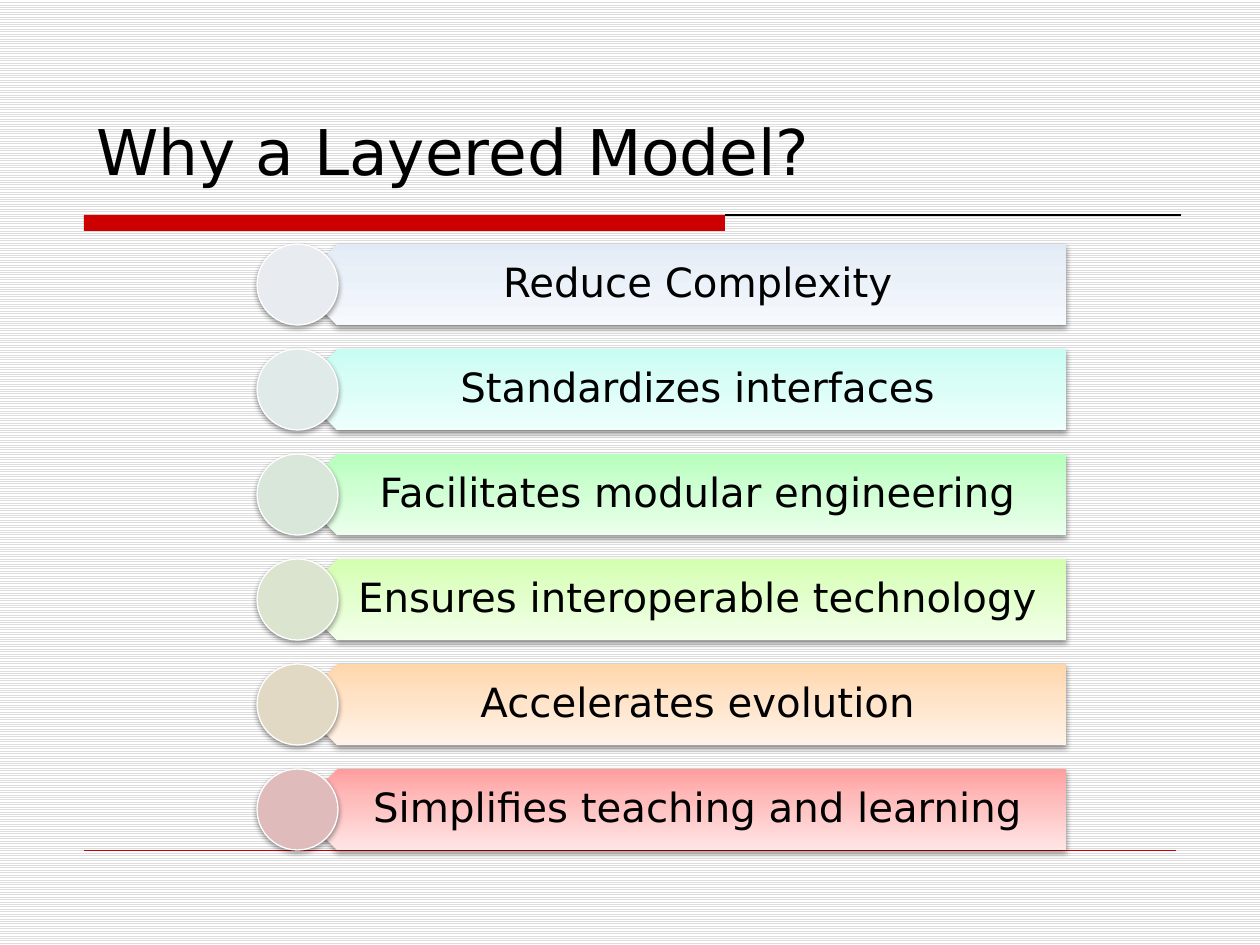
import dataclasses
from typing import Any

import lxml.etree
import pptx
import pptx.dml.color
import pptx.enum.dml
import pptx.enum.shapes
import pptx.enum.text
import pptx.oxml
import pptx.oxml.ns
import pptx.util

PX = 914400 / 126
FONT = "DejaVu Sans"
COLORS = {
    "text": "000000",
    "accent": "CC0000",
    "rule": "000000",
    "outline": "FFFFFF",
    "paper": "FFFFFF",
    "stripe": "DDDDDD",
}
SHAPES = pptx.enum.shapes.MSO_SHAPE
ANCHOR = pptx.enum.text.MSO_ANCHOR
ALIGN = pptx.enum.text.PP_ALIGN
AUTO_SIZE = pptx.enum.text.MSO_AUTO_SIZE

# Layout of the rows, in px
FIRST_TOP, PITCH, ROW_HEIGHT = 244, 105, 81
ARROW_LEFT, ARROW_WIDTH = 297, 769
LABEL_LEFT, LABEL_WIDTH = 318, 748
CIRCLE_LEFT = 257


@dataclasses.dataclass(frozen=True)
class Reason:
    label: str
    gradient: tuple[str, str, str]
    circle: str


REASONS = [
    Reason("Reduce Complexity", ("E2EBF5", "EAF0F8", "F6F9FD"), "E8EBEF"),
    Reason("Standardizes interfaces", ("C7FDF3", "D7FDF6", "EEFFFC"), "E0EBE9"),
    Reason("Facilitates modular engineering", ("B6FFBC", "CBFFCF", "EBFFEC"), "D8E7DA"),
    Reason("Ensures interoperable technology", ("D3FFAE", "DFFFC6", "F2FFE9"), "DBE4CF"),
    Reason("Accelerates evolution", ("FFD6AA", "FFE1C3", "FFF3E8"), "E2D9C5"),
    Reason("Simplifies teaching and learning", ("FF9D9D", "FFBABA", "FFE5E5"), "E0BBBB"),
]


def px(*lengths: int) -> list[pptx.util.Emu]:
    return [pptx.util.Emu(round(length * PX)) for length in lengths]


def rgb(value: str) -> pptx.dml.color.RGBColor:
    return pptx.dml.color.RGBColor.from_string(value)


def set_format(target: Any, values: dict[str, Any]) -> None:
    for name, value in values.items():
        setattr(target, name, value)


def add_shadow(shape: Any) -> None:
    shape.shadow.inherit = False
    effects = shape._element.spPr.find(pptx.oxml.ns.qn("a:effectLst"))
    effects.append(pptx.oxml.parse_xml(
        f'<a:outerShdw {pptx.oxml.ns.nsdecls("a")} blurRad="40000" dist="20000" '
        'dir="5400000" rotWithShape="0"><a:srgbClr val="000000">'
        '<a:alpha val="38000"/></a:srgbClr></a:outerShdw>'))


def fill_gradient(shape: Any, colors: tuple[str, str, str]) -> None:
    shape.fill.gradient()
    shape.fill.gradient_angle = 90
    stops = shape._element.spPr.find(".//" + pptx.oxml.ns.qn("a:gsLst"))
    for stop in list(stops):
        stops.remove(stop)
    for position, color in zip((0, 35, 100), colors):
        stop = lxml.etree.SubElement(
            stops, pptx.oxml.ns.qn("a:gs"), pos=str(position * 1000))
        lxml.etree.SubElement(stop, pptx.oxml.ns.qn("a:srgbClr"), val=color)


def add_text(slide: Any, text: str, box: tuple[int, int, int, int], size: int,
             frame_format: dict[str, Any], paragraph_format: dict[str, Any]) -> None:
    frame = slide.shapes.add_textbox(*px(*box)).text_frame
    set_format(frame, frame_format)
    paragraph = frame.paragraphs[0]
    set_format(paragraph, paragraph_format)
    run = paragraph.add_run()
    run.text = text
    set_format(run.font, {"name": FONT, "size": pptx.util.Pt(size)})
    run.font.color.rgb = rgb(COLORS["text"])


def add_rule(slide: Any, left: int, right: int, y: int, color: str, width: float) -> None:
    line = slide.shapes.add_connector(
        pptx.enum.shapes.MSO_CONNECTOR.STRAIGHT, *px(left, y, right, y))
    line.line.color.rgb = rgb(color)
    line.line.width = pptx.util.Pt(width)
    lxml.etree.SubElement(line._element.spPr, pptx.oxml.ns.qn("a:effectLst"))


def add_reason(slide: Any, reason: Reason, top: int) -> None:
    arrow = slide.shapes.add_shape(
        SHAPES.PENTAGON, *px(ARROW_LEFT, top, ARROW_WIDTH, ROW_HEIGHT))
    arrow.rotation = 180
    fill_gradient(arrow, reason.gradient)
    arrow.line.fill.background()
    add_shadow(arrow)

    margins = dict(zip(("margin_left", "margin_top", "margin_right", "margin_bottom"),
                       px(35, 13, 23, 13)))
    add_text(slide, reason.label, (LABEL_LEFT, top, LABEL_WIDTH, ROW_HEIGHT), 23,
             {"word_wrap": True, "vertical_anchor": ANCHOR.MIDDLE, **margins},
             {"alignment": ALIGN.CENTER, "line_spacing": 0.9})

    circle = slide.shapes.add_shape(
        SHAPES.OVAL, *px(CIRCLE_LEFT, top, ROW_HEIGHT, ROW_HEIGHT))
    circle.fill.solid()
    circle.fill.fore_color.rgb = rgb(reason.circle)
    circle.line.color.rgb = rgb(COLORS["outline"])
    circle.line.width = pptx.util.Pt(0.75)
    add_shadow(circle)


def main() -> None:
    presentation = pptx.Presentation()
    set_format(presentation, dict(zip(("slide_width", "slide_height"), px(1260, 945))))
    slide = presentation.slides.add_slide(presentation.slide_layouts[6])

    # Striped background
    background = slide.background.fill
    background.patterned()
    background.pattern = pptx.enum.dml.MSO_PATTERN.LIGHT_HORIZONTAL
    background.fore_color.rgb = rgb(COLORS["stripe"])
    background.back_color.rgb = rgb(COLORS["paper"])

    # Title bar and rules
    bar = slide.shapes.add_shape(SHAPES.RECTANGLE, *px(84, 215, 641, 16))
    bar.shadow.inherit = False
    bar.fill.solid()
    bar.fill.fore_color.rgb = rgb(COLORS["accent"])
    bar.line.fill.background()
    add_rule(slide, 725, 1181, 215, COLORS["rule"], 0.75)
    add_rule(slide, 84, 1176, 850, COLORS["accent"], 0.25)

    # Title
    add_text(slide, "Why a Layered Model?", (84, 106, 740, 88), 36,
             {"word_wrap": False, "auto_size": AUTO_SIZE.SHAPE_TO_FIT_TEXT},
             {"alignment": ALIGN.LEFT})

    # Reasons
    for index, reason in enumerate(REASONS):
        add_reason(slide, reason, FIRST_TOP + index * PITCH)

    presentation.save("out.pptx")


if __name__ == "__main__":
    main()
